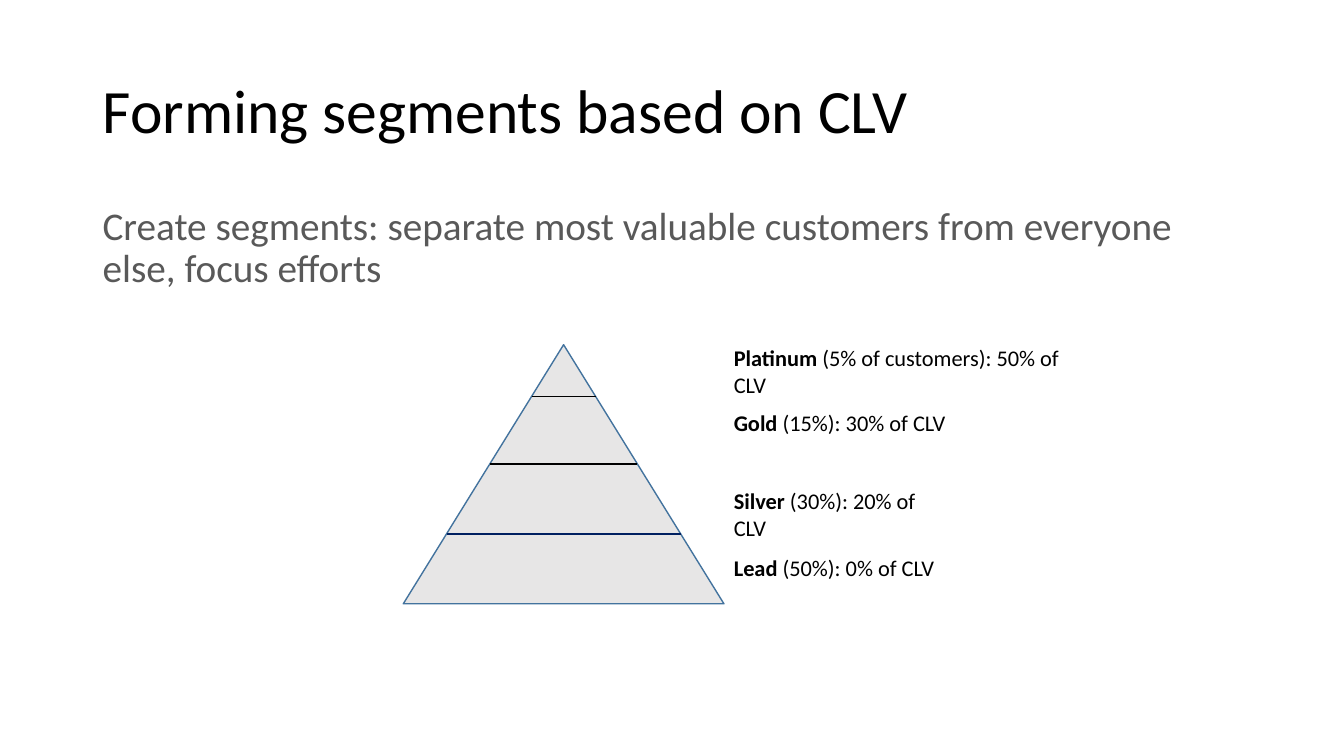
from dataclasses import dataclass

from lxml.etree import SubElement
from pptx import Presentation
from pptx.dml.color import RGBColor
from pptx.enum.shapes import MSO_CONNECTOR, MSO_SHAPE
from pptx.enum.text import MSO_ANCHOR, MSO_AUTO_SIZE
from pptx.oxml.ns import qn
from pptx.util import Inches, Pt


@dataclass(frozen=True)
class Theme:
    font: str = "Calibri"
    ink: str = "000000"
    muted: str = "595959"
    pyramid_fill: str = "E7E6E6"
    pyramid_edge: str = "43739E"
    navy: str = "002060"
    title_size: int = 44
    statement_size: int = 28
    label_size: int = 16
    line_width: int = 1


@dataclass(frozen=True)
class Box:
    left: float
    top: float
    width: float
    height: float

    def emu(self):
        return [Inches(v) for v in (self.left, self.top, self.width, self.height)]


@dataclass(frozen=True)
class Tier:
    name: str
    detail: str
    label_top: float      # share of the pyramid's height
    label_width: float    # share of the pyramid's width
    base: float           # share of the pyramid's height
    base_color: str = Theme.ink


THEME = Theme()
SLIDE_WIDTH, SLIDE_HEIGHT = 13.33, 7.5
MARGIN, CONTENT_WIDTH = 0.92, 11.5
TITLE_BOX = Box(MARGIN, 0.4, CONTENT_WIDTH, 1.45)
STATEMENT_BOX = Box(MARGIN, 2, CONTENT_WIDTH, 4.76)
PYRAMID_BOX = Box(4, 3.42, 3.18, 2.57)
LABEL_HEIGHT = 0.37
TIERS = [
    Tier("Platinum", " (5% of customers): 50% of CLV", -0.02, 1.19, 0.2),
    Tier("Gold", " (15%): 30% of CLV", 0.23, 0.73, 0.46),
    Tier("Silver", " (30%): 20% of CLV", 0.53, 0.73, 0.73, THEME.navy),
    Tier("Lead", " (50%): 0% of CLV", 0.79, 0.73, 1),
]


def add_text(slide, box, runs, size, color, frame_format=None, paragraph_format=None):
    """Place one paragraph made of (text, bold) runs."""
    frame = slide.shapes.add_textbox(*box.emu()).text_frame
    for name, value in {"word_wrap": True, **(frame_format or {})}.items():
        setattr(frame, name, value)
    paragraph = frame.paragraphs[0]
    for name, value in (paragraph_format or {}).items():
        setattr(paragraph, name, value)
    for text, bold in runs:
        run = paragraph.add_run()
        run.text = text
        for name, value in {"name": THEME.font, "size": Pt(size), "bold": bold}.items():
            setattr(run.font, name, value)
        run.font.color.rgb = RGBColor.from_string(color)


def style_line(line, color):
    line.color.rgb = RGBColor.from_string(color)
    line.width = Pt(THEME.line_width)


def add_heading(slide, box, title):
    add_text(slide, box, [(title, False)], THEME.title_size, THEME.ink,
             {"vertical_anchor": MSO_ANCHOR.MIDDLE}, {"line_spacing": 0.9})


def add_statement(slide, box, statement):
    add_text(slide, box, [(statement, False)], THEME.statement_size, THEME.muted,
             paragraph_format={"line_spacing": 0.9, "space_before": Pt(10)})


def add_divider(slide, box, tier):
    """Draw a tier's base from one sloping side of the pyramid to the other."""
    center = box.left + box.width / 2
    half = box.width * tier.base / 2
    y = Inches(box.top + box.height * tier.base)
    divider = slide.shapes.add_connector(
        MSO_CONNECTOR.STRAIGHT, Inches(center - half), y, Inches(center + half), y)
    style_line(divider.line, tier.base_color)
    SubElement(divider._element.spPr, qn("a:effectLst"))


def add_pyramid(slide, box, tiers):
    pyramid = slide.shapes.add_shape(MSO_SHAPE.ISOSCELES_TRIANGLE, *box.emu())
    pyramid.shadow.inherit = False
    pyramid.fill.solid()
    pyramid.fill.fore_color.rgb = RGBColor.from_string(THEME.pyramid_fill)
    style_line(pyramid.line, THEME.pyramid_edge)
    for tier in tiers[:-1]:
        add_divider(slide, box, tier)
    for tier in tiers:
        label_box = Box(box.left + box.width, box.top + box.height * tier.label_top,
                        box.width * tier.label_width, LABEL_HEIGHT)
        add_text(slide, label_box, [(tier.name, True), (tier.detail, False)],
                 THEME.label_size, THEME.ink,
                 {"auto_size": MSO_AUTO_SIZE.SHAPE_TO_FIT_TEXT})


def main():
    deck = Presentation()
    deck.slide_width, deck.slide_height = Inches(SLIDE_WIDTH), Inches(SLIDE_HEIGHT)
    slide = deck.slides.add_slide(deck.slide_layouts[6])
    add_statement(slide, STATEMENT_BOX, "Create segments: separate most valuable "
                  "customers from everyone else, focus efforts")
    add_heading(slide, TITLE_BOX, "Forming segments based on CLV")
    add_pyramid(slide, PYRAMID_BOX, TIERS)
    deck.save("out.pptx")


if __name__ == "__main__":
    main()
